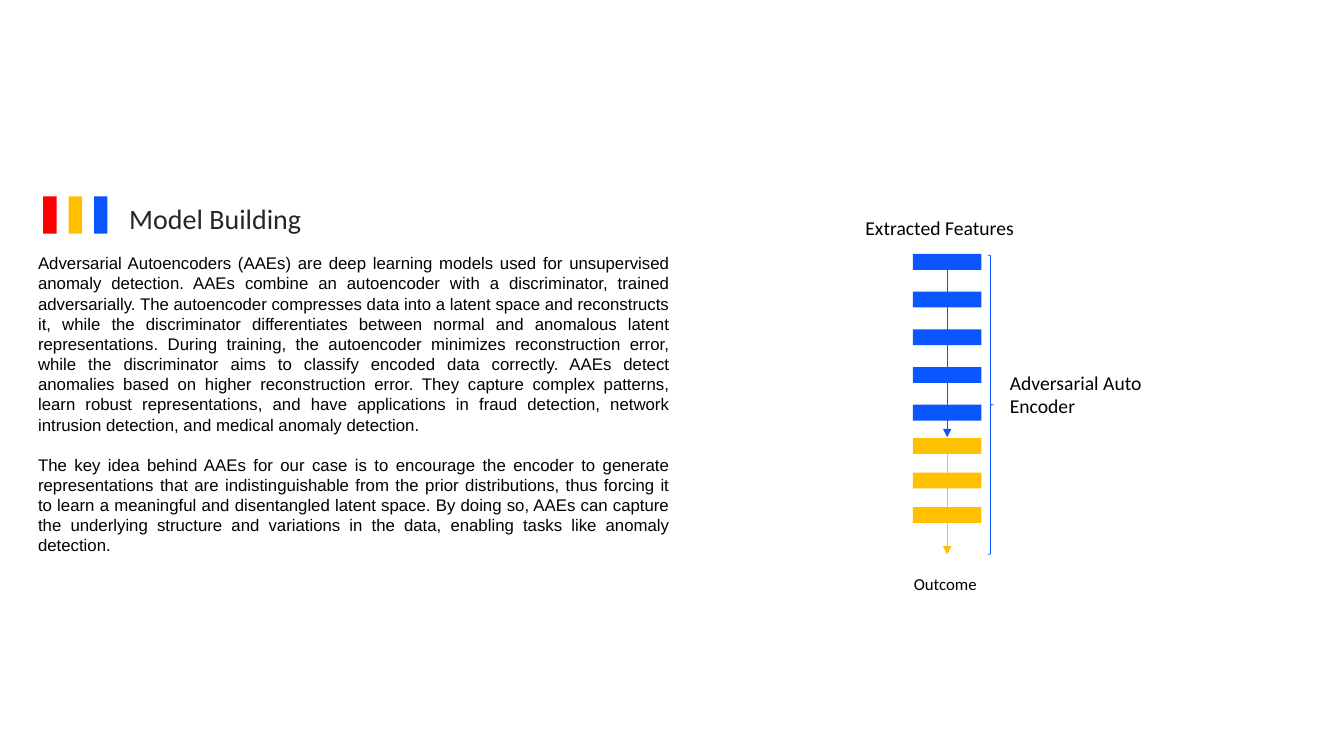
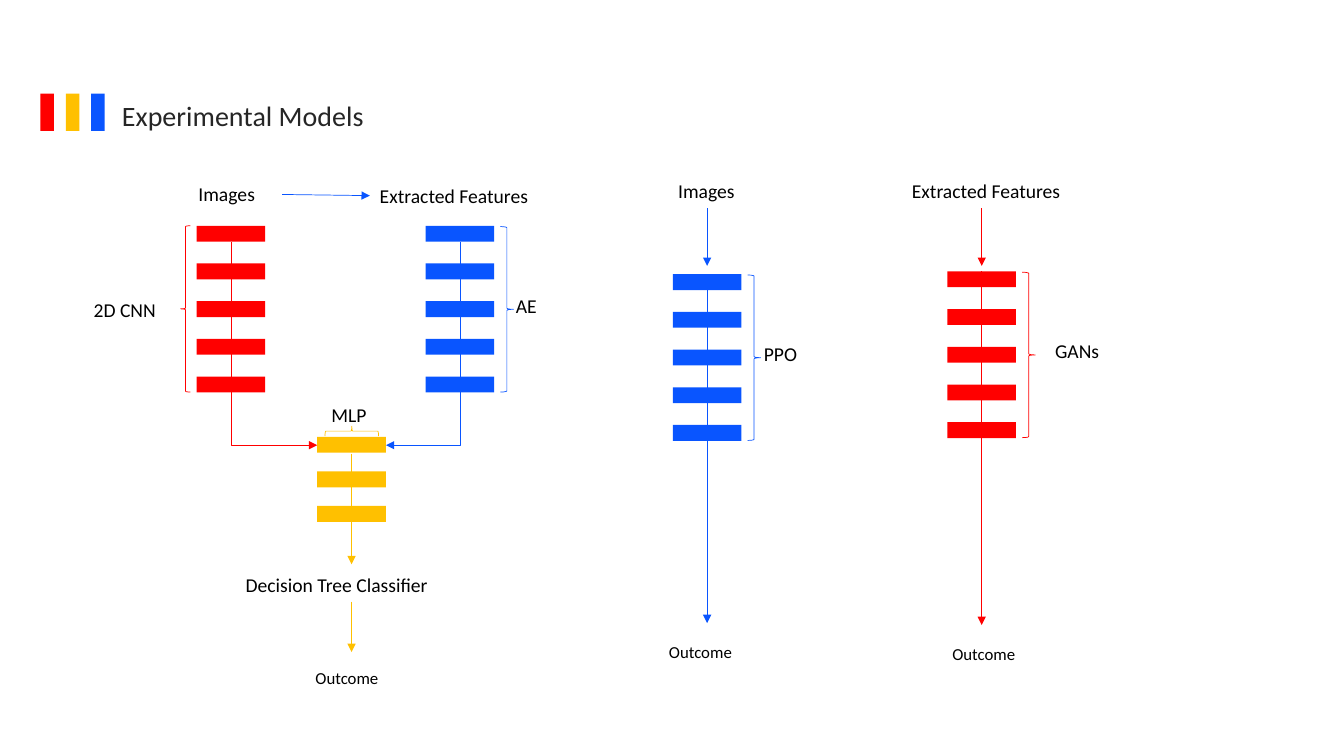
from lxml.etree import SubElement
from pptx import Presentation
from pptx.dml.color import RGBColor
from pptx.enum.shapes import MSO_CONNECTOR, MSO_SHAPE
from pptx.enum.text import MSO_ANCHOR, MSO_AUTO_SIZE, PP_ALIGN
from pptx.oxml.ns import qn
from pptx.util import Cm, Pt

COLORS = {
    "red": "FF0000",
    "yellow": "FFC000",
    "blue": "0955FF",
    "title": "262626",
    "text": "000000",
}

AAE_SUMMARY = [
    "Adversarial Autoencoders (AAEs) are deep learning models used for unsupervised "
    "anomaly detection. AAEs combine an autoencoder with a discriminator, trained "
    "adversarially. The autoencoder compresses data into a latent space and reconstructs "
    "it, while the discriminator differentiates between normal and anomalous latent "
    "representations. During training, the autoencoder minimizes reconstruction error, "
    "while the discriminator aims to classify encoded data correctly. AAEs detect "
    "anomalies based on higher reconstruction error. They capture complex patterns, "
    "learn robust representations, and have applications in fraud detection, network "
    "intrusion detection, and medical anomaly detection.",
    "The key idea behind AAEs for our case is to encourage the encoder to generate "
    "representations that are indistinguishable from the prior distributions, thus "
    "forcing it to learn a meaningful and disentangled latent space. By doing so, AAEs "
    "can capture the underlying structure and variations in the data, enabling tasks "
    "like anomaly detection.",
]


class Deck:
    LAYER_WIDTH = 1.73
    LAYER_HEIGHT = 0.4
    BRACE_OFFSET = 1.02
    BRACE_HEIGHT = 4.17

    def __init__(self):
        self.presentation = Presentation()
        self.presentation.slide_width = Cm(33.87)
        self.presentation.slide_height = Cm(19.05)
        self.slide = None

    def color(self, name):
        return RGBColor.from_string(COLORS[name])

    def add_text(self, paragraph, text, size, color="text", font="Calibri"):
        run = paragraph.add_run()
        run.text = text
        run.font.name = font
        run.font.size = Pt(size)
        run.font.color.rgb = self.color(color)

    def start_slide(self, text, bars_left, title_left, top):
        layout = self.presentation.slide_layouts[5]
        self.slide = self.presentation.slides.add_slide(layout)
        title = self.slide.shapes.title
        title.left, title.top = Cm(title_left), Cm(top)
        title.width, title.height = Cm(14.76), Cm(1.12)
        frame = title.text_frame
        frame.auto_size = MSO_AUTO_SIZE.NONE
        frame.vertical_anchor = MSO_ANCHOR.TOP
        frame.paragraphs[0].alignment = PP_ALIGN.LEFT
        self.add_text(frame.paragraphs[0], text, 20, "title")
        for index, name in enumerate(("red", "yellow", "blue")):
            self.block(bars_left + index * 0.64, top, 0.34, 0.94, name)

    def block(self, left, top, width, height, color):
        block = self.slide.shapes.add_shape(
            MSO_SHAPE.RECTANGLE, Cm(left), Cm(top), Cm(width), Cm(height))
        block.shadow.inherit = False
        block.fill.solid()
        block.fill.fore_color.rgb = self.color(color)
        block.line.fill.background()

    def layers(self, center, top, color, count=5, pitch=0.95):
        for index in range(count):
            self.block(center - self.LAYER_WIDTH / 2, top + index * pitch,
                       self.LAYER_WIDTH, self.LAYER_HEIGHT, color)

    def braced_layers(self, center, top, color):
        self.layers(center, top, color)
        self.brace(center + self.BRACE_OFFSET, top + 0.02, 0.33, self.BRACE_HEIGHT, color)

    def brace(self, left, top, width, height, color, kind=MSO_SHAPE.RIGHT_BRACE, turn=0):
        brace = self.slide.shapes.add_shape(kind, Cm(left), Cm(top), Cm(width), Cm(height))
        brace.shadow.inherit = False
        brace.fill.background()
        brace.line.color.rgb = self.color(color)
        brace.line.width = Pt(0.5)
        brace.rotation = turn

    def connector(self, start, end, color, arrow_end="tailEnd"):
        connector = self.slide.shapes.add_connector(
            MSO_CONNECTOR.STRAIGHT, *(Cm(value) for value in (*start, *end)))
        connector.line.color.rgb = self.color(color)
        connector.line.width = Pt(0.5)
        properties = connector._element.spPr
        SubElement(properties.find(qn("a:ln")), qn(f"a:{arrow_end}"), type="triangle")
        SubElement(properties, qn("a:effectLst"))
        return connector

    def elbow_into(self, tip, source, color):
        elbow = self.connector(tip, source, color, "headEnd")
        elbow._element.spPr.find(qn("a:prstGeom")).set("prst", "bentConnector2")

    def text_box(self, left, top, width, height):
        box = self.slide.shapes.add_textbox(Cm(left), Cm(top), Cm(width), Cm(height))
        box.text_frame.word_wrap = True
        return box.text_frame

    def label(self, text, left, top, width, size=14):
        frame = self.text_box(left, top, width, 0.86)
        self.add_text(frame.paragraphs[0], text, size)

    def outcome(self, left, top):
        self.label("Outcome", left, top, 2.41, 12)

    def body(self, paragraphs, left, top, width, height):
        frame = self.text_box(left, top, width, height)
        for index, text in enumerate(paragraphs):
            paragraph = frame.add_paragraph() if index else frame.paragraphs[0]
            paragraph.alignment = PP_ALIGN.JUSTIFY
            paragraph.line_spacing = Pt(14.4)
            if index:
                paragraph.space_before = Pt(14.4)
            self.add_text(paragraph, text, 12, font="Arial")


def build_model_slide(deck):
    deck.start_slide("Model Building", 1.09, 3, 4.95)
    deck.body(AAE_SUMMARY, 0.71, 6.25, 16.43, 7.87)

    center = 23.87
    deck.label("Extracted Features", 21.56, 5.31, 6.05)
    deck.connector((center, 6.4), (center, 11.02), "blue")
    deck.layers(center, 6.4, "blue")
    deck.layers(center, 11.04, "yellow", 3, 0.87)
    deck.connector((center, 11.43), (center, 13.97), "yellow")
    deck.brace(24.89, 6.43, 0.15, 7.54, "blue")
    deck.label("Adversarial Auto Encoder", 25.2, 9.22, 4.85)
    deck.outcome(22.78, 14.33)


def build_experiments_slide(deck):
    deck.start_slide("Experimental Models", 1.02, 2.82, 2.36)

    cnn, encoder, mlp = 5.82, 11.59, 8.86
    deck.label("Images", 4.75, 4.47, 2.36)
    deck.connector((7.11, 4.9), (9.32, 4.93), "blue")
    deck.label("Extracted Features", 9.32, 4.5, 5.46)
    deck.layers(cnn, 5.69, "red")
    deck.brace(4.55, 5.69, 0.25, 4.19, "red", MSO_SHAPE.LEFT_BRACE)
    deck.label("2D CNN", 2.11, 7.37, 3.63)
    deck.braced_layers(encoder, 5.69, "blue")
    deck.label("AE", 12.75, 7.29, 1.3)

    deck.layers(mlp, 11.01, "yellow", 3, 0.87)
    deck.brace(8.74, 10.19, 0.25, 1.35, "yellow", MSO_SHAPE.LEFT_BRACE, 90)
    deck.label("MLP", 8.1, 10.03, 1.73)
    half = deck.LAYER_WIDTH / 2
    deck.elbow_into((mlp - half, 11.22), (cnn, 6.1), "red")
    deck.elbow_into((mlp + half, 11.22), (encoder, 6.1), "blue")
    for start, end in ((11.43, 14.22), (15.16, 16.43)):
        deck.connector((mlp, start), (mlp, end), "yellow")
    deck.label("Decision Tree Classifier", 5.94, 14.3, 5.92)
    deck.outcome(7.7, 16.69)

    single_models = [
        ("Images", 16.84, "PPO", 19, 8.48, 17.82, 6.91, 16.61, 16.05, "blue"),
        ("Extracted Features", 22.73, "GANs", 26.34, 8.41, 24.74, 6.84, 23.75, 16.1, "red"),
    ]
    for (source, source_left, model, model_left, model_top, center, top,
         outcome_left, outcome_top, color) in single_models:
        deck.label(source, source_left, 4.39, 5.31)
        deck.connector((center, 5.25), (center, 6.7), color)
        deck.braced_layers(center, top, color)
        deck.connector((center, top), (center, outcome_top - 0.35), color)
        deck.label(model, model_left, model_top, 1.98)
        deck.outcome(outcome_left, outcome_top)


def main():
    deck = Deck()
    build_model_slide(deck)
    build_experiments_slide(deck)
    deck.presentation.save("out.pptx")


if __name__ == "__main__":
    main()
